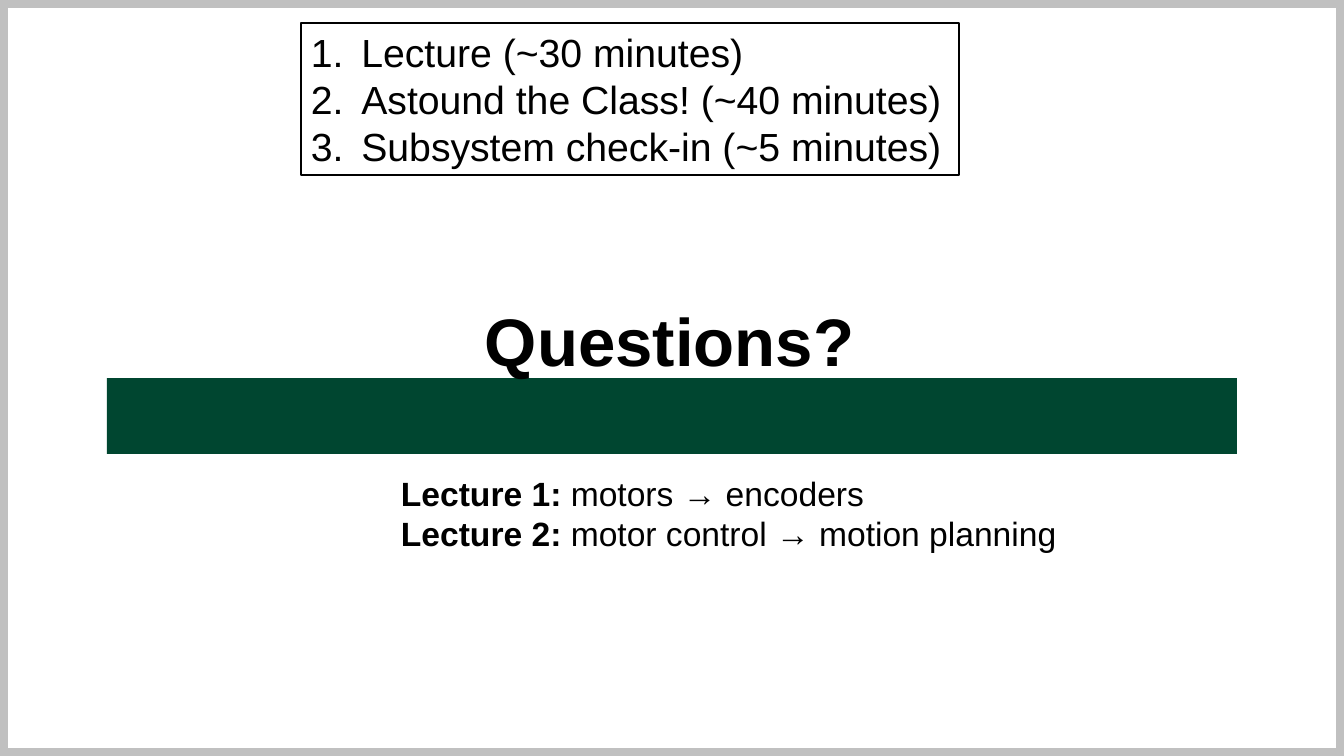
from dataclasses import dataclass
from lxml.etree import SubElement
from pptx import Presentation
from pptx.dml.color import RGBColor as RGB
from pptx.enum.shapes import MSO_SHAPE as Kind
from pptx.enum.text import MSO_AUTO_SIZE as Fit, PP_ALIGN as Align
from pptx.oxml.ns import qn
from pptx.util import Emu, Inches, Pt

# Content: each paragraph is a list of (text, bold) runs
AGENDA = [
    [("Lecture (~30 minutes)", False)],
    [("Astound the Class! (~40 minutes)", False)],
    [("Subsystem check-in (~5 minutes)", False)],
]
TITLE = [[("Questions?", True)]]
TOPICS = [
    [("Lecture 1:", True), (" motors → encoders", False)],
    [("Lecture 2:", True), (" motor control → motion planning", False)],
]

# Places in px: left, top, width, height
WIDE, HIGH = 1344, 756
FRAME = (0, 0, WIDE, HIGH)
BAR = (107, 378, 1130, 76)
TITLE_AT = (475, 294, 394, 92)
TOPICS_AT = (391, 468, 682, 92)
AGENDA_AT = (301, 23, 658, 152)


@dataclass(frozen=True)
class Theme:
    font: str = "Arial"
    ink: RGB = RGB(0, 0, 0)
    green: RGB = RGB(0x00, 0x46, 0x30)
    grey: RGB = RGB(0xC0, 0xC0, 0xC0)
    title: int = 48
    agenda: int = 28
    topics: int = 24


theme = Theme()


def px(n):
    return Emu(round(n * 914400 / 100.8))


def add_box(slide, at, fill=None, line=None, width=0):
    box = slide.shapes.add_shape(Kind.RECTANGLE, *map(px, at))
    box.shadow.inherit = False
    if fill is None:
        box.fill.background()
    else:
        box.fill.solid()
        box.fill.fore_color.rgb = fill
    if line is None:
        box.line.fill.background()
    else:
        box.line.color.rgb = line
        box.line.width = Pt(width)
    return box


def number(para):
    props = para._p.get_or_add_pPr()
    props.set("marL", str(Inches(0.5)))
    props.set("indent", str(-Inches(0.5)))
    SubElement(props, qn("a:buFont"), typeface=theme.font)
    SubElement(props, qn("a:buAutoNum"), type="arabicPeriod")


def write(box, paras, size, listed=False):
    frame = box.text_frame
    frame.word_wrap = True
    frame.auto_size = Fit.SHAPE_TO_FIT_TEXT
    for i, runs in enumerate(paras):
        para = frame.add_paragraph() if i else frame.paragraphs[0]
        para.alignment = Align.LEFT
        if listed:
            number(para)
        for text, bold in runs:
            run = para.add_run()
            run.text = text
            font = run.font
            font.name, font.size, font.bold = theme.font, Pt(size), bold
            font.color.rgb = theme.ink


def main():
    deck = Presentation()
    deck.slide_width, deck.slide_height = px(WIDE), px(HIGH)
    slide = deck.slides.add_slide(deck.slide_layouts[6])

    # Slide frame and green bar
    add_box(slide, FRAME, line=theme.grey, width=12)
    add_box(slide, BAR, fill=theme.green)

    # Title and lecture topics
    for at, paras, size in [(TITLE_AT, TITLE, theme.title),
                            (TOPICS_AT, TOPICS, theme.topics)]:
        write(slide.shapes.add_textbox(*map(px, at)), paras, size)

    # Numbered agenda
    agenda = add_box(slide, AGENDA_AT, line=theme.ink, width=1.5)
    write(agenda, AGENDA, theme.agenda, listed=True)

    deck.save("out.pptx")


if __name__ == "__main__":
    main()
